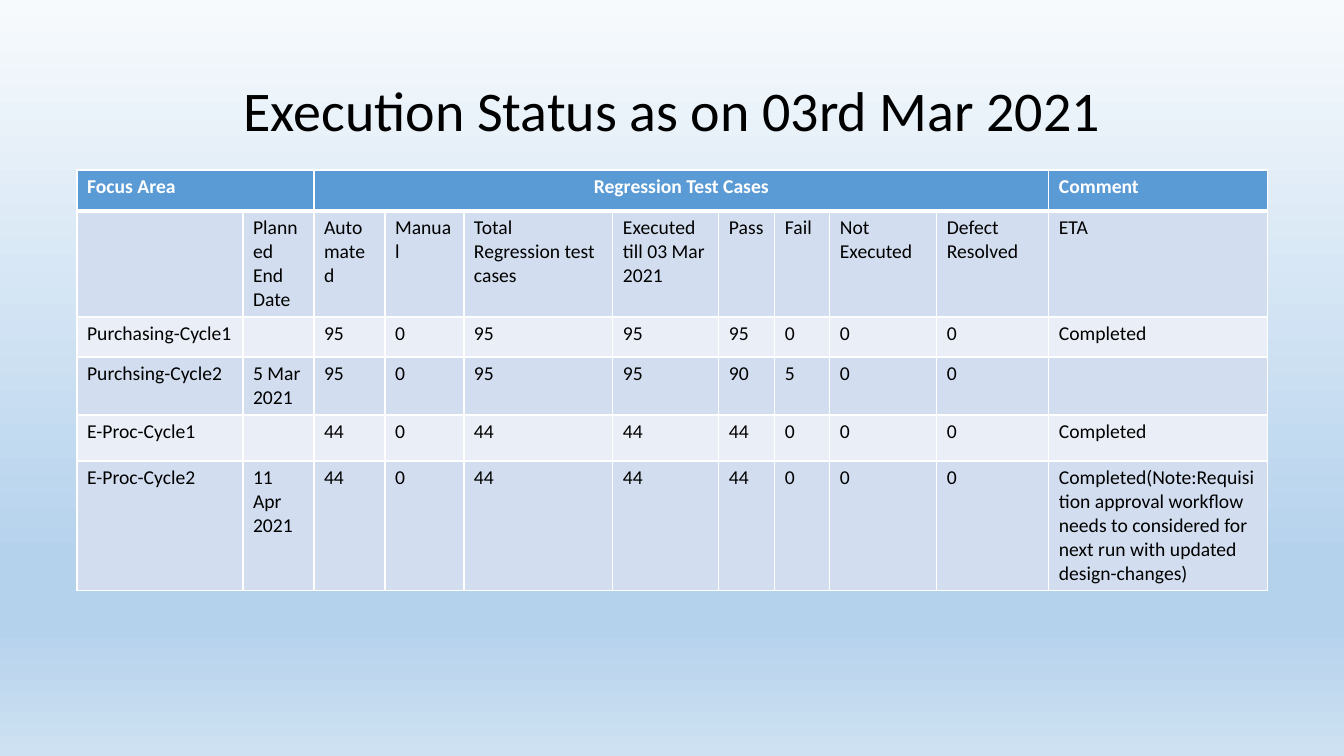
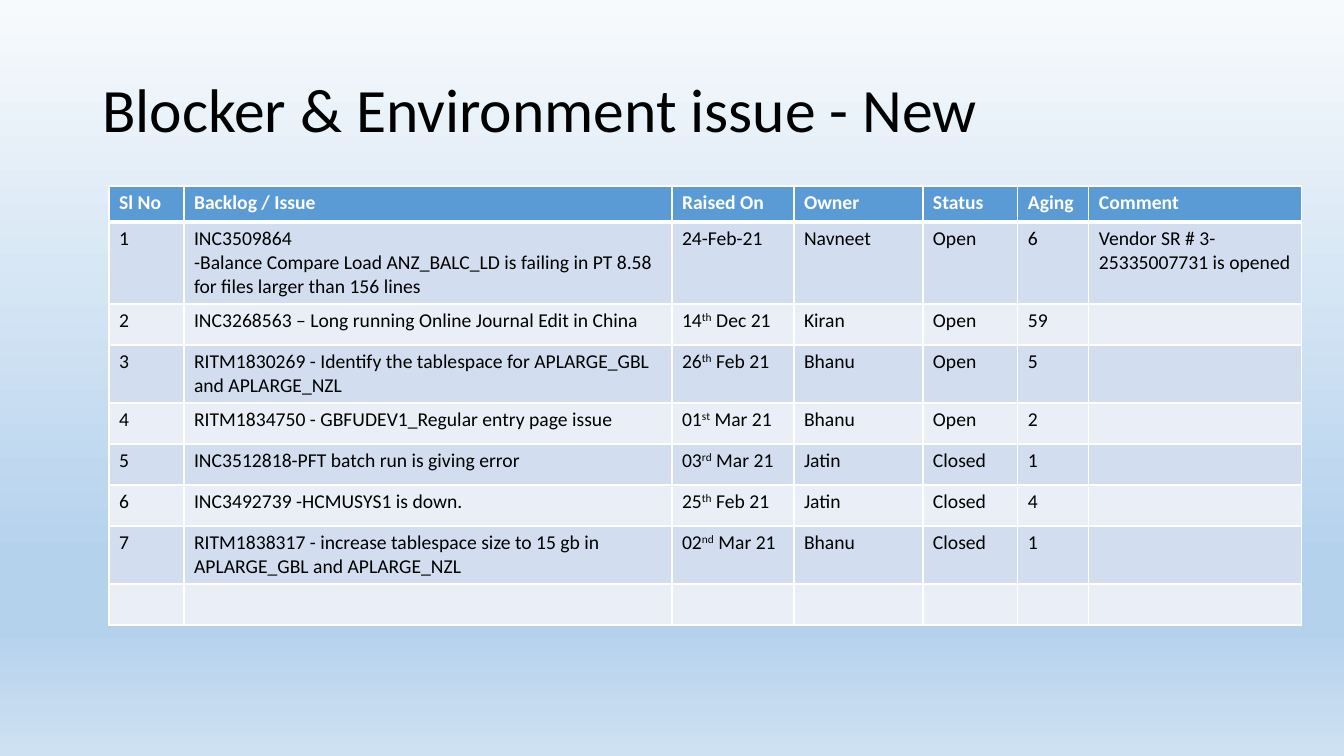
from lxml import etree
from pptx import Presentation
from pptx.dml.color import RGBColor
from pptx.enum.text import MSO_ANCHOR, PP_ALIGN
from pptx.oxml.ns import qn
from pptx.util import Emu, Pt

LEFT, CENTER = PP_ALIGN.LEFT, PP_ALIGN.CENTER
MIDDLE = MSO_ANCHOR.MIDDLE
EMU_PER_PX = 914400 / 100.8
FONT = "Calibri"
TABLE_SIZE = 14
TITLE_ONLY = 5
TITLE_BOX = (92, 40, 1160, 146)
COLORS = {
    "text": "000000",
    "white": "FFFFFF",
    "header": "5B9BD5",
    "odd": "D2DEEF",
    "even": "EAEFF7",
}
BACKGROUND_STOPS = [(0, "F7FAFD"), (74, "B5D2EC"), (83, "B5D2EC"), (100, "CEE1F2")]

SLIDES = [
    {
        "title": "Execution Status as on 03rd Mar 2021",
        "title_size": 40,
        "title_align": CENTER,
        "origin": (77, 170),
        "columns": [166, 71, 71, 79, 149, 106, 56, 55, 107, 112, 219],
        "heights": [41, 106, 40, 58, 46, 129],
        "spans": [(0, 1), (2, 9)],
        "centered": ["Regression Test Cases"],
        "rows": [
            ["Focus Area", "", "Regression Test Cases", "", "", "", "", "", "", "", "Comment"],
            ["", "Planned End Date", "Automated", "Manual", "Total Regression test cases",
             "Executed till 03 Mar 2021", "Pass", "Fail", "Not Executed", "Defect Resolved", "ETA"],
            ["Purchasing-Cycle1", "", "95", "0", "95", "95", "95", "0", "0", "0", "Completed"],
            ["Purchsing-Cycle2", "5 Mar 2021", "95", "0", "95", "95", "90", "5", "0", "0", ""],
            ["E-Proc-Cycle1", "", "44", "0", "44", "44", "44", "0", "0", "0", "Completed"],
            ["E-Proc-Cycle2", "11 Apr 2021", "44", "0", "44", "44", "44", "0", "0", "0",
             "Completed(Note:Requisition approval workflow needs to considered for next run "
             "with updated design-changes)"],
        ],
    },
    {
        "title": "Blocker & Environment issue - New",
        "title_size": 44,
        "title_align": LEFT,
        "origin": (109, 186),
        "columns": [75, 488, 122, 129, 95, 71, 213],
        "heights": [36, 82, 41, 58, 41, 41, 41, 58, 41],
        "spans": [],
        "centered": [],
        "rows": [
            ["Sl No", "Backlog / Issue", "Raised On", "Owner", "Status", "Aging", "Comment"],
            ["1", "INC3509864\n-Balance Compare Load ANZ_BALC_LD is failing in PT 8.58 "
             "for files larger than 156 lines",
             "24-Feb-21", "Navneet", "Open", "6", "Vendor SR # 3-25335007731 is opened"],
            ["2", "INC3268563 – Long running Online Journal Edit in China",
             "14^th^ Dec 21", "Kiran", "Open", "59", ""],
            ["3", "RITM1830269 - Identify the tablespace for APLARGE_GBL and APLARGE_NZL",
             "26^th^ Feb 21", "Bhanu", "Open", "5", ""],
            ["4", "RITM1834750 - GBFUDEV1_Regular entry page issue",
             "01^st^ Mar 21", "Bhanu", "Open", "2", ""],
            ["5", "INC3512818-PFT batch run is giving error",
             "03^rd^ Mar 21", "Jatin", "Closed", "1", ""],
            ["6", "INC3492739 -HCMUSYS1 is down.",
             "25^th^ Feb 21", "Jatin", "Closed", "4", ""],
            ["7", "RITM1838317 - increase tablespace size to 15 gb in APLARGE_GBL and APLARGE_NZL",
             "02^nd^ Mar 21", "Bhanu", "Closed", "1", ""],
            [""] * 7,
        ],
    },
]


def px(value):
    return Emu(round(value * EMU_PER_PX))


def style_font(para, size, color, bold=False):
    font = para.font
    font.name, font.size, font.bold = FONT, Pt(size), bold
    font.color.rgb = RGBColor.from_string(COLORS[color])


def set_background(master):
    fill = master.background.fill
    fill.gradient()
    fill.gradient_angle = 270
    stops = master.element.find(".//" + qn("a:gsLst"))
    for stop in list(stops):
        stops.remove(stop)
    for percent, color in BACKGROUND_STOPS:
        stop = etree.SubElement(stops, qn("a:gs"), pos=str(percent * 1000))
        etree.SubElement(stop, qn("a:srgbClr"), val=color)


def set_borders(cell, top, bottom):
    properties = cell._tc.get_or_add_tcPr()
    widths = {"lnL": 1, "lnR": 1, "lnT": top, "lnB": bottom}
    for index, (side, width) in enumerate(widths.items()):
        line = etree.Element(qn("a:" + side), w=str(Pt(width)))
        fill = etree.SubElement(line, qn("a:solidFill"))
        etree.SubElement(fill, qn("a:srgbClr"), val=COLORS["white"])
        properties.insert(index, line)


def write_cell(cell, text, is_header, align):
    frame = cell.text_frame
    for index, line in enumerate(text.split("\n")):
        para = frame.add_paragraph() if index else frame.paragraphs[0]
        para.alignment = align
        style_font(para, TABLE_SIZE, "white" if is_header else "text", is_header)
        for position, piece in enumerate(line.split("^")):
            if piece:
                span = para.add_run()
                span.text = piece
                if position % 2:
                    span._r.get_or_add_rPr().set("baseline", "30000")


def add_title(page, content):
    title = page.shapes.title
    title.left, title.top, title.width, title.height = map(px, TITLE_BOX)
    title.text_frame.vertical_anchor = MIDDLE
    para = title.text_frame.paragraphs[0]
    para.text = content["title"]
    para.alignment = content["title_align"]
    para.line_spacing = 0.9
    style_font(para, content["title_size"], "text")


def add_status_table(page, content):
    rows, columns, heights = content["rows"], content["columns"], content["heights"]
    bounds = map(px, (*content["origin"], sum(columns), sum(heights)))
    table = page.shapes.add_table(len(rows), len(columns), *bounds).table
    for column, width in zip(table.columns, columns):
        column.width = px(width)
    for row, height in zip(table.rows, heights):
        row.height = px(height)
    for row_index, row in enumerate(rows):
        band = "header" if row_index == 0 else ("even", "odd")[row_index % 2]
        for column_index, text in enumerate(row):
            cell = table.cell(row_index, column_index)
            cell.fill.solid()
            cell.fill.fore_color.rgb = RGBColor.from_string(COLORS[band])
            set_borders(cell, 3 if row_index == 1 else 1, 3 if row_index == 0 else 1)
            align = CENTER if text in content["centered"] else LEFT
            write_cell(cell, text, row_index == 0, align)
    for first, last in content["spans"]:
        table.cell(0, first).merge(table.cell(0, last))


def main():
    deck = Presentation()
    deck.slide_width, deck.slide_height = px(1344), px(756)
    set_background(deck.slide_master)
    for content in SLIDES:
        page = deck.slides.add_slide(deck.slide_layouts[TITLE_ONLY])
        add_title(page, content)
        add_status_table(page, content)
    deck.save("out.pptx")


if __name__ == "__main__":
    main()
